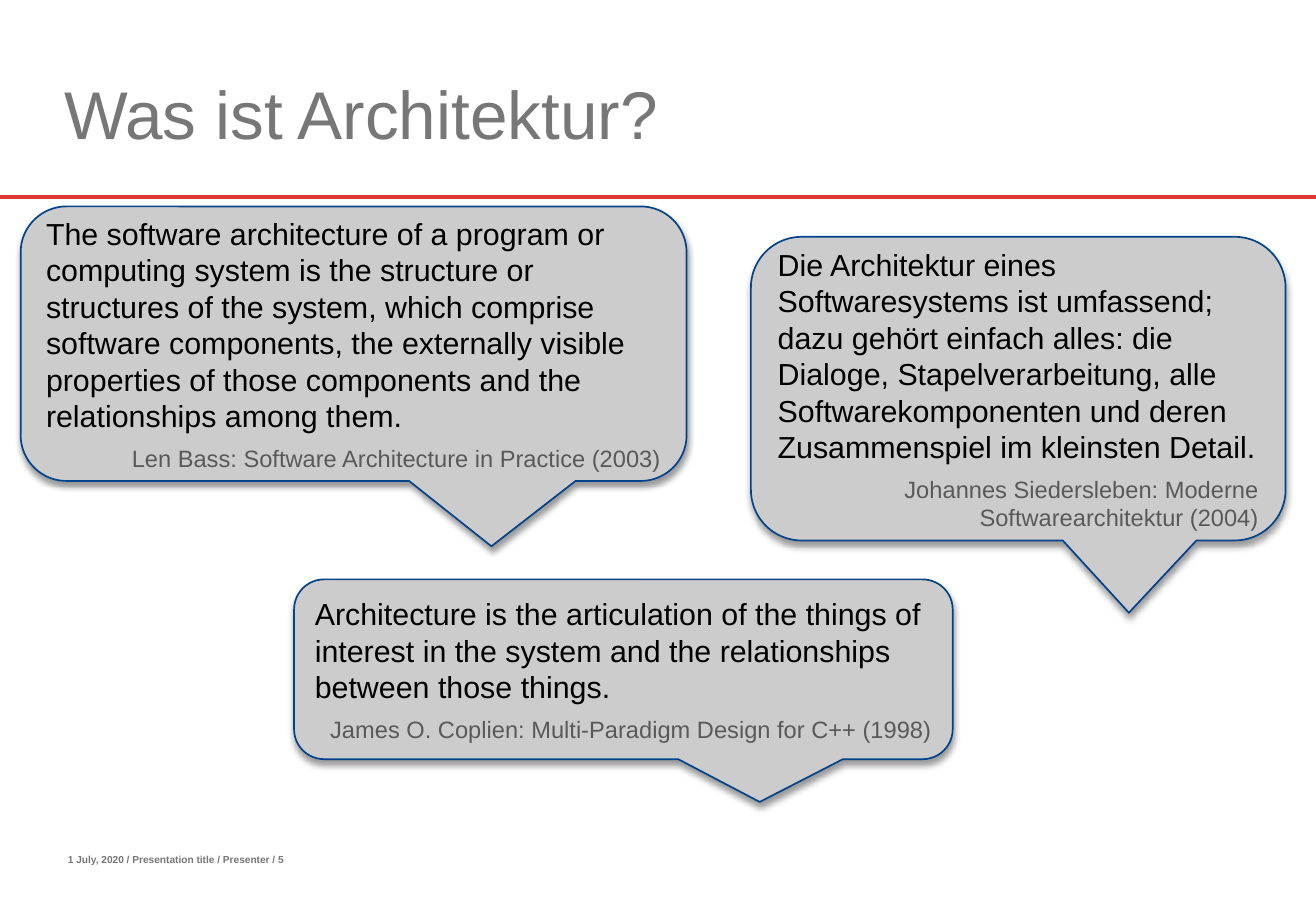
import pptx
import pptx.dml.color
import pptx.enum.shapes
import pptx.enum.text
import pptx.oxml
import pptx.oxml.ns
import pptx.util
from dataclasses import dataclass

Inches = pptx.util.Inches
Pt = pptx.util.Pt
Color = pptx.dml.color.RGBColor.from_string
Align = pptx.enum.text.PP_ALIGN
Anchor = pptx.enum.text.MSO_ANCHOR


@dataclass(frozen=True)
class Theme:
    font: str = "Arial"
    rule: str = "DE3731"
    heading: str = "777777"
    bubble: str = "CCCCCC"
    outline: str = "00438A"
    quote: str = "000000"
    source: str = "595959"
    title_size: float = 40
    quote_size: float = 18
    source_size: float = 14
    footer_size: float = 6


theme = Theme()


def add_span(para, text, size, color, bold=False):
    span = para.add_run()
    span.text = text
    span.font.name = theme.font
    span.font.size = Pt(size)
    span.font.bold = bold
    span.font.color.rgb = Color(color)


def add_effects(shape, content=""):
    """Append an effect list; an empty one switches off the theme shadow."""
    namespace = pptx.oxml.ns.nsdecls("a")
    shape._element.spPr.append(
        pptx.oxml.parse_xml(f"<a:effectLst {namespace}>{content}</a:effectLst>")
    )


SOFT_SHADOW = (
    f'<a:outerShdw blurRad="{Pt(4)}" dist="{Pt(3)}" dir="5400000" rotWithShape="0">'
    '<a:srgbClr val="000000"><a:alpha val="40000"/></a:srgbClr></a:outerShdw>'
)

deck = pptx.Presentation()
deck.slide_width = Inches(10.83)
deck.slide_height = Inches(7.5)
page = deck.slides.add_slide(deck.slide_layouts[6])

# Header rule
rule = page.shapes.add_connector(
    pptx.enum.shapes.MSO_CONNECTOR.STRAIGHT,
    Inches(0), Inches(1.62), Inches(10.83), Inches(1.62),
)
rule.line.color.rgb = Color(theme.rule)
rule.line.width = Pt(2.25)
add_effects(rule)

# Footer and title
labels = [
    ("1 July, 2020 / Presentation title / Presenter / 5",
     (0.46, 6.98, 4.49, 0.2), theme.footer_size, True, Anchor.TOP),
    ("Was ist Architektur?",
     (0.43, 0.3, 8.03, 1.01), theme.title_size, False, Anchor.BOTTOM),
]
for text, bounds, size, bold, anchor in labels:
    box = page.shapes.add_textbox(*map(Inches, bounds))
    box.text_frame.word_wrap = True
    box.text_frame.vertical_anchor = anchor
    add_span(box.text_frame.paragraphs[0], text, size, theme.heading, bold)

# Quotes in speech bubbles
quotes = [
    ((2.42, 4.77, 5.42, 1.48),
     "Architecture is the articulation of the things of interest in the system "
     "and the relationships between those things.",
     "James O. Coplien: Multi-Paradigm Design for C++ (1998)"),
    ((0.17, 1.7, 5.48, 2.26),
     "The software architecture of a program or computing system is the structure "
     "or structures of the system, which comprise software components, the "
     "externally visible properties of those components and the relationships "
     "among them.",
     "Len Bass: Software Architecture in Practice (2003)"),
    ((6.18, 1.95, 4.4, 2.5),
     "Die Architektur eines Softwaresystems ist umfassend; dazu gehört einfach "
     "alles: die Dialoge, Stapelverarbeitung, alle Softwarekomponenten und deren "
     "Zusammenspiel im kleinsten Detail.",
     "Johannes Siedersleben: Moderne Softwarearchitektur (2004)"),
]
for bounds, quote, source in quotes:
    bubble = page.shapes.add_shape(
        pptx.enum.shapes.MSO_SHAPE.ROUNDED_RECTANGULAR_CALLOUT, *map(Inches, bounds)
    )
    for index, value in enumerate((0.207, 0.738, 0.167)):
        bubble.adjustments[index] = value
    bubble.fill.solid()
    bubble.fill.fore_color.rgb = Color(theme.bubble)
    bubble.line.color.rgb = Color(theme.outline)
    bubble.line.width = Pt(1)
    add_effects(bubble, SOFT_SHADOW)

    frame = bubble.text_frame
    frame.word_wrap = True
    frame.vertical_anchor = Anchor.MIDDLE
    quote_para = frame.paragraphs[0]
    quote_para.alignment = Align.LEFT
    add_span(quote_para, quote, theme.quote_size, theme.quote)
    source_para = frame.add_paragraph()
    source_para.alignment = Align.RIGHT
    source_para.space_before = Pt(6)
    add_span(source_para, source, theme.source_size, theme.source)

deck.save("out.pptx")
